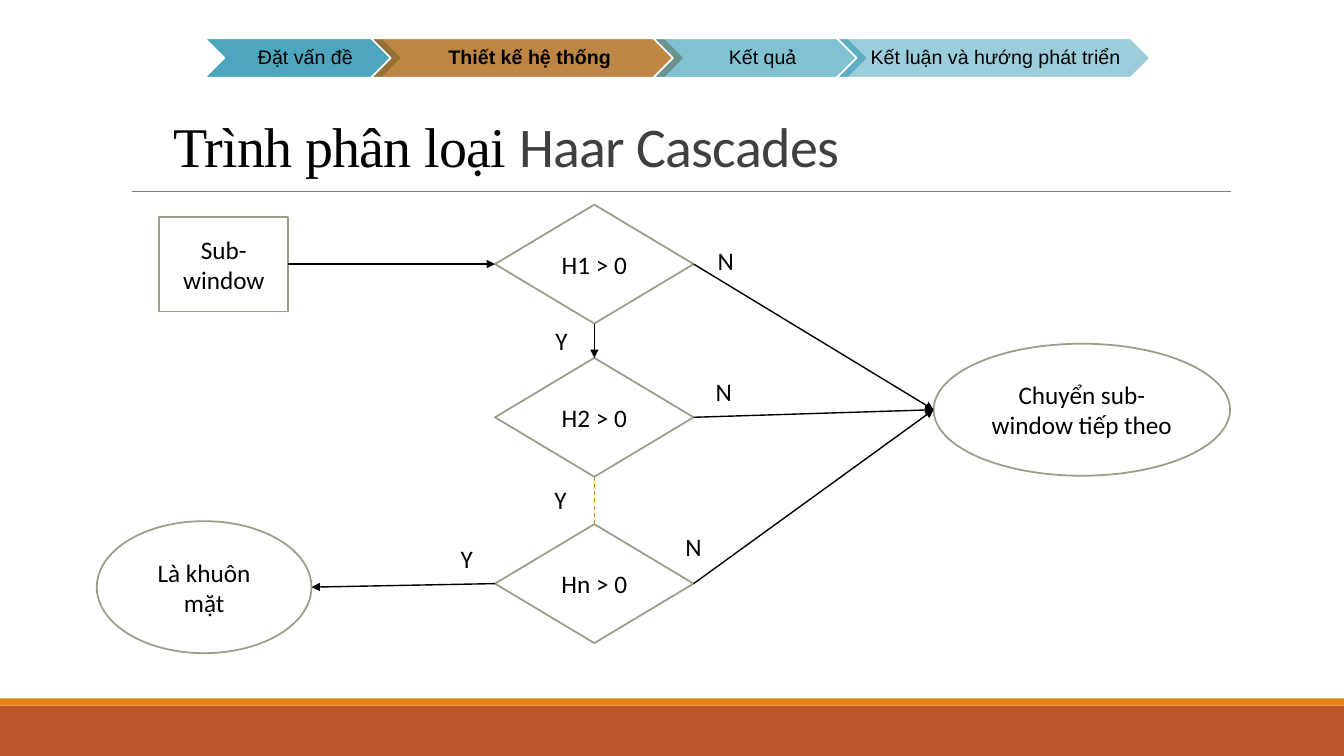
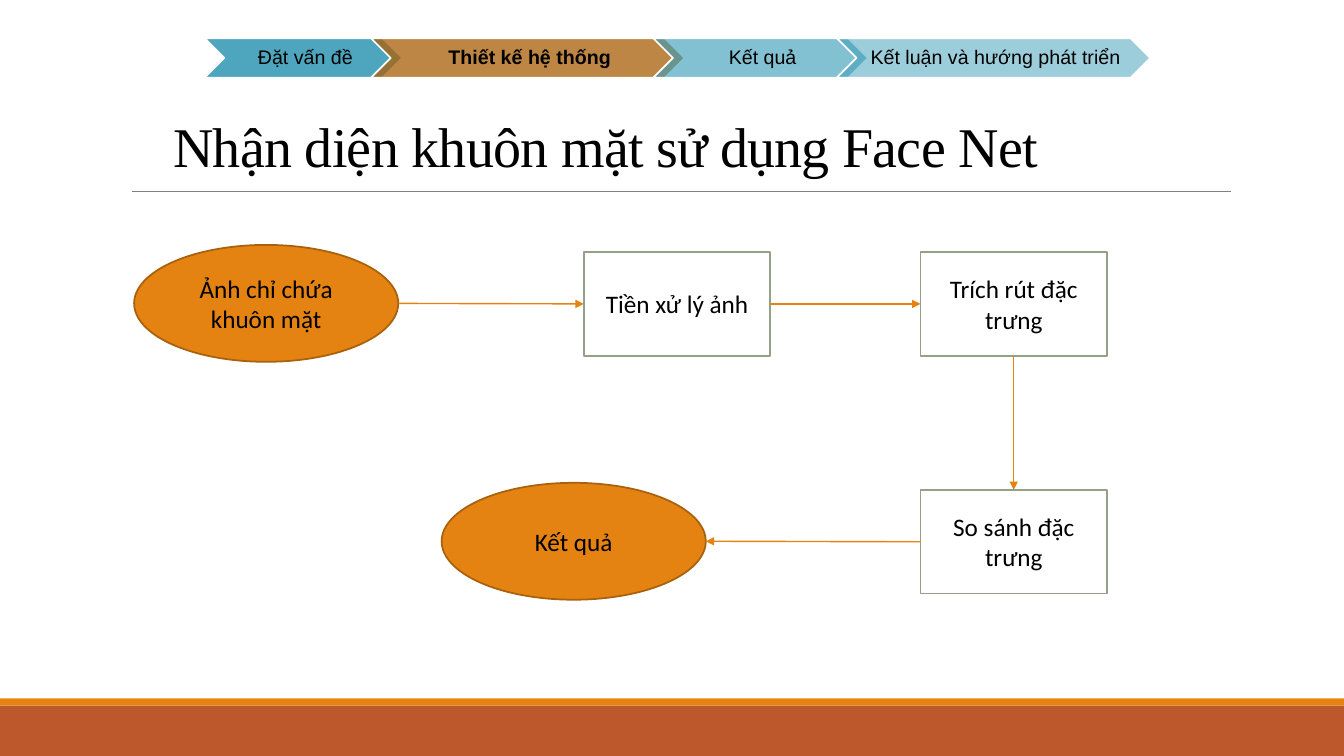
"""Build two flowchart slides on face detection and face recognition."""
from dataclasses import dataclass
from typing import Any

from lxml import etree
from pptx import Presentation
from pptx import util as u
from pptx.dml.color import RGBColor
from pptx.enum import dml, shapes, text
from pptx.oxml.ns import qn
from pptx.shapes.autoshape import Shape
from pptx.shapes.connector import Connector
from pptx.slide import Slide

COLORS = {
    "white": "FFFFFF", "black": "000000", "title": "404040", "rule": "808080",
    "footer": "BD582C", "accent": "E48312", "accent_edge": "A9610D",
    "outline": "94A088", "step": "3A9DB8", "current": "AB620D",
}
SERIF, SANS, BODY = "Times New Roman", "Arial", "Calibri"
RECT, DIAMOND, OVAL = (
    shapes.MSO_SHAPE.RECTANGLE, shapes.MSO_SHAPE.DIAMOND, shapes.MSO_SHAPE.OVAL)
SIDES = {"top": (0.5, 0), "left": (0, 0.5), "bottom": (0.5, 1), "right": (1, 0.5)}
STEP_LEFT, STEP_TOP, STEP_HEIGHT, STEP_OVERLAP = 2.03, 0.38, 0.39, 0.31


@dataclass(frozen=True)
class Span:
    """A piece of text with its format."""
    words: str
    size: float = 18
    font: str = BODY
    color: str = "black"
    bold: bool = False
    tracking: int = 0


@dataclass(frozen=True)
class Step:
    """One chevron of the progress strip."""
    words: str
    width: float
    alpha: int
    current: bool = False


@dataclass(frozen=True)
class Node:
    """One box of a flowchart."""
    key: str
    words: str
    kind: shapes.MSO_SHAPE
    left: float
    top: float
    width: float
    height: float
    fill: str = "white"
    edge: str = "outline"


@dataclass(frozen=True)
class Link:
    """A line from a side of one node to a side of another."""
    start: str
    start_side: str
    end: str
    end_side: str
    color: str = "black"
    dashed: bool = False


@dataclass(frozen=True)
class Label:
    """A free word beside a line."""
    words: str
    left: float
    top: float


@dataclass(frozen=True)
class Chart:
    """The content of one slide."""
    title: tuple[Span, ...]
    nodes: tuple[Node, ...]
    links: tuple[Link, ...]
    labels: tuple[Label, ...] = ()


def title_span(words: str, font: str = SERIF, color: str = "black") -> Span:
    """Return a span in the title style."""
    return Span(words, 40, font, color, tracking=-50)


def diamond(key: str, top: float) -> Node:
    """Return a decision of the cascade."""
    return Node(key, f"{key} > 0", DIAMOND, 4.91, top, 1.97, 1.18)


def process(key: str, words: str, left: float, top: float) -> Node:
    """Return a processing box."""
    return Node(key, words, RECT, left, top, 1.85, 1.03)


def terminal(key: str, words: str, left: float, top: float) -> Node:
    """Return a filled start or end oval."""
    return Node(key, words, OVAL, left, top, 2.62, 1.16, "accent", "accent_edge")


STEPS = (
    Step("Đặt vấn đề", 1.96, 90),
    Step("Thiết kế hệ thống", 3.11, 77, True),
    Step("Kết quả", 2.13, 63),
    Step("Kết luận và hướng phát triển", 3.11, 50),
)
CHARTS = (
    Chart(
        (title_span("Trình phân loại "), title_span("Haar Cascades", BODY, "title")),
        (
            Node("window", "Sub-window", RECT, 1.58, 2.15, 1.28, 0.94),
            diamond("H1", 2.03), diamond("H2", 3.55), diamond("Hn", 5.2),
            Node("next", "Chuyển sub-window tiếp theo", OVAL, 9.26, 3.41, 2.94, 1.31),
            Node("face", "Là khuôn mặt", OVAL, 0.96, 5.17, 2.13, 1.31),
        ),
        (
            Link("window", "right", "H1", "left"),
            Link("H1", "bottom", "H2", "top"),
            Link("H2", "bottom", "Hn", "top", "accent", True),
            Link("Hn", "left", "face", "right"),
            *(Link(key, "right", "next", "left") for key in ("H1", "H2", "Hn")),
        ),
        (
            Label("Y", 5.41, 3.18), Label("Y", 5.4, 4.76), Label("Y", 4.47, 5.34),
            Label("N", 7.02, 2.38), Label("N", 7, 3.68), Label("N", 6.7, 5.22),
        ),
    ),
    Chart(
        (title_span("Nhận diện khuôn mặt sử dụng Face Net"),),
        (
            terminal("image", "Ảnh chỉ chứa khuôn mặt", 1.33, 2.43),
            process("prepare", "Tiền xử lý ảnh", 5.79, 2.5),
            process("extract", "Trích rút đặc trưng", 9.13, 2.5),
            process("compare", "So sánh đặc trưng", 9.13, 4.86),
            terminal("result", "Kết quả", 4.38, 4.79),
        ),
        (
            Link("image", "right", "prepare", "left", "accent"),
            Link("prepare", "right", "extract", "left", "accent"),
            Link("extract", "bottom", "compare", "top", "accent"),
            Link("compare", "left", "result", "right", "accent"),
        ),
    ),
)


def rgb(name: str) -> RGBColor:
    """Look up a named colour."""
    return RGBColor.from_string(COLORS[name])


def apply(target: Any, values: dict[str, Any]) -> None:
    """Set each attribute of the target from the values."""
    for name, value in values.items():
        setattr(target, name, value)


def write(box: Shape, spans: tuple[Span, ...], frame: dict[str, Any],
          paragraph: dict[str, Any]) -> None:
    """Write one paragraph of spans into a box."""
    apply(box.text_frame, {"word_wrap": True, **frame})
    para = box.text_frame.paragraphs[0]
    apply(para, paragraph)
    for item in spans:
        span = para.add_run()
        span.text = item.words
        apply(span.font, {"size": u.Pt(item.size), "name": item.font, "bold": item.bold})
        span.font.color.rgb = rgb(item.color)
        if item.tracking:
            span.font._element.set("spc", str(item.tracking))


def add_box(page: Slide, kind: shapes.MSO_SHAPE, bounds: tuple[float, ...],
            fill: str, edge: str | None = None) -> Shape:
    """Draw a filled preset shape, outlined if an edge colour is given."""
    box = page.shapes.add_shape(kind, *map(u.Inches, bounds))
    box.shadow.inherit = False
    box.fill.solid()
    box.fill.fore_color.rgb = rgb(fill)
    if edge:
        box.line.color.rgb = rgb(edge)
        box.line.width = u.Pt(1.25)
    else:
        box.line.fill.background()
    return box


def add_line(page: Slide, start: tuple[int, int], end: tuple[int, int],
             color: str, width: float) -> Connector:
    """Draw a straight line without a shadow."""
    line = page.shapes.add_connector(shapes.MSO_CONNECTOR.STRAIGHT, *start, *end)
    line.line.color.rgb = rgb(color)
    line.line.width = u.Pt(width)
    etree.SubElement(line._element.spPr, qn("a:effectLst"))
    return line


def side_point(box: Shape, side: str) -> tuple[int, int]:
    """Return the middle of a side of a box."""
    across, down = SIDES[side]
    return int(box.left + across * box.width), int(box.top + down * box.height)


def add_link(page: Slide, link: Link, boxes: dict[str, Shape]) -> None:
    """Join two boxes with an arrow, or with a dashed line."""
    ends = (("a:stCxn", boxes[link.start], link.start_side),
            ("a:endCxn", boxes[link.end], link.end_side))
    start, end = (side_point(box, side) for _, box, side in ends)
    line = add_line(page, start, end, link.color, 0.75 if link.dashed else 1)
    joints = line._element.find(".//" + qn("p:cNvCxnSpPr"))
    for tag, box, side in ends:
        site = list(SIDES).index(side) * (2 if box.auto_shape_type == OVAL else 1)
        etree.SubElement(joints, qn(tag), id=str(box.shape_id), idx=str(site))
    if link.dashed:
        line.line.dash_style = dml.MSO_LINE.DASH
    else:
        etree.SubElement(line.line._get_or_add_ln(), qn("a:tailEnd"), type="triangle")


def add_steps(page: Slide) -> None:
    """Draw the progress strip."""
    left = STEP_LEFT
    frame = {"vertical_anchor": text.MSO_ANCHOR.MIDDLE, "margin_left": u.Inches(0.06)}
    frame |= {f"margin_{side}": u.Inches(0.02) for side in ("top", "right", "bottom")}
    for step in STEPS:
        box = add_box(page, shapes.MSO_SHAPE.CHEVRON,
                      (left, STEP_TOP, step.width, STEP_HEIGHT),
                      "current" if step.current else "step", "white")
        tint = box._element.spPr.find(qn("a:solidFill")).find(qn("a:srgbClr"))
        etree.SubElement(tint, qn("a:alpha"), val=str(step.alpha * 1000))
        write(box, (Span(step.words, 14, SANS, bold=step.current),), frame,
              {"alignment": text.PP_ALIGN.CENTER, "line_spacing": 0.9})
        left += step.width - STEP_OVERLAP


def add_frame(page: Slide, title: tuple[Span, ...]) -> None:
    """Draw the footer bands, title, rule and progress strip."""
    add_box(page, RECT, (0, 7, 13.33, 0.5), "footer")
    add_box(page, RECT, (0, 6.93, 13.33, 0.07), "accent")
    add_line(page, (u.Inches(1.31), u.Inches(1.9)), (u.Inches(12.21), u.Inches(1.9)),
             "rule", 0.5)
    box = page.shapes.add_textbox(*map(u.Inches, (1.62, 0.9, 10.96, 0.92)))
    write(box, title, {"vertical_anchor": text.MSO_ANCHOR.BOTTOM}, {"line_spacing": 0.85})
    add_steps(page)


def add_chart_page(page: Slide, chart: Chart) -> None:
    """Draw one flowchart slide."""
    add_frame(page, chart.title)
    boxes: dict[str, Shape] = {}
    for node in chart.nodes:
        bounds = (node.left, node.top, node.width, node.height)
        box = boxes[node.key] = add_box(page, node.kind, bounds, node.fill, node.edge)
        write(box, (Span(node.words),), {"vertical_anchor": text.MSO_ANCHOR.MIDDLE},
              {"alignment": text.PP_ALIGN.CENTER})
    for link in chart.links:
        add_link(page, link, boxes)
    for label in chart.labels:
        box = page.shapes.add_textbox(*map(u.Inches, (label.left, label.top, 0.5, 0.4)))
        write(box, (Span(label.words),), {}, {})


def main() -> None:
    """Build and save the deck."""
    deck = Presentation()
    apply(deck, {"slide_width": u.Inches(13.33), "slide_height": u.Inches(7.5)})
    for chart in CHARTS:
        add_chart_page(deck.slides.add_slide(deck.slide_layouts[6]), chart)
    deck.save("out.pptx")


if __name__ == "__main__":
    main()
